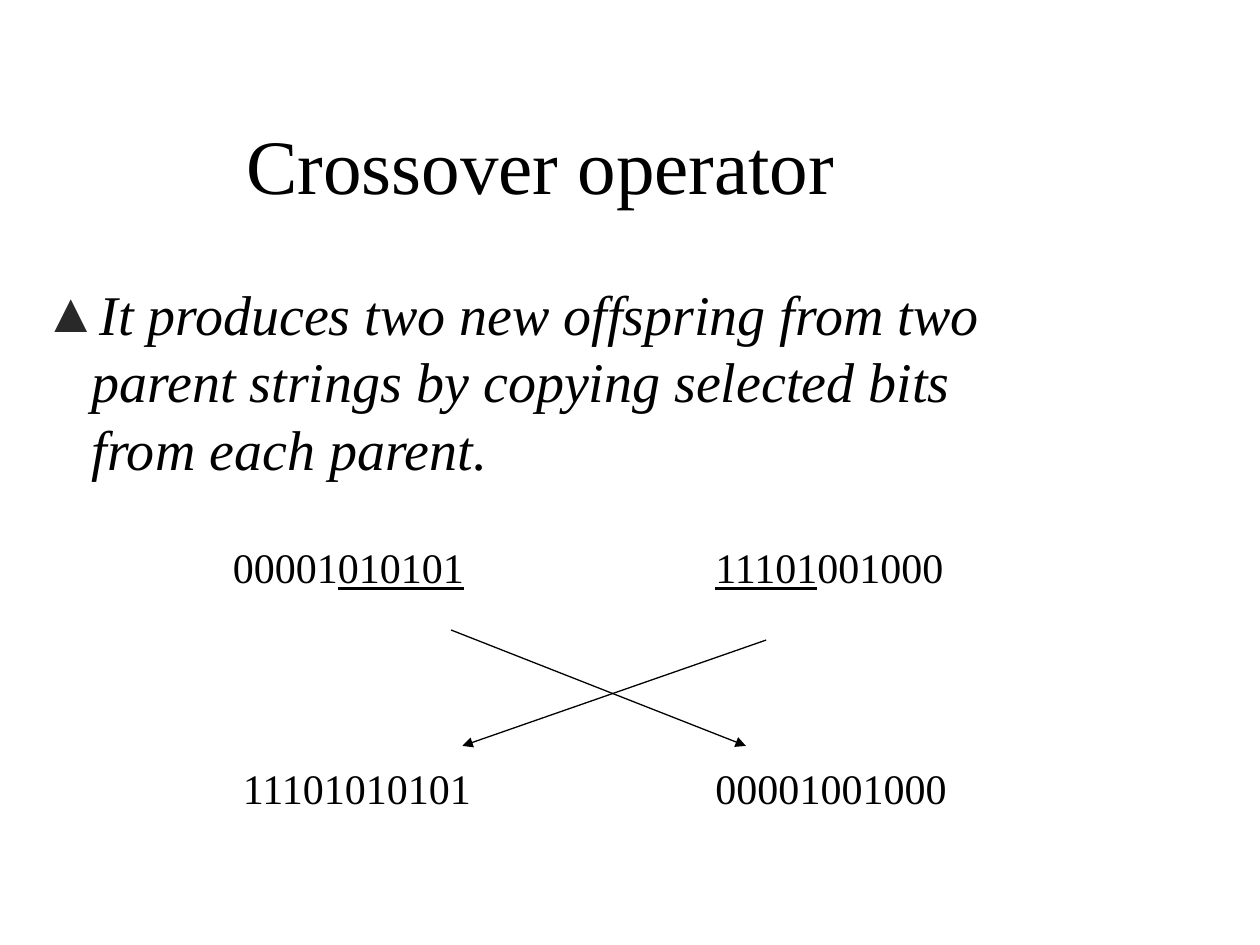
"""Build the crossover operator slide."""
from dataclasses import dataclass
from lxml import etree
from pptx import Presentation
from pptx.dml.color import RGBColor
from pptx.enum.shapes import MSO_CONNECTOR
from pptx.enum.text import MSO_ANCHOR, PP_ALIGN
from pptx.oxml.ns import qn
from pptx.util import Inches, Pt

LINE = MSO_CONNECTOR.STRAIGHT
MIDDLE = MSO_ANCHOR.MIDDLE
TOP = MSO_ANCHOR.TOP
CENTER = PP_ALIGN.CENTER
LEFT = PP_ALIGN.LEFT


@dataclass(frozen=True)
class Theme:
    """Colours, font and type sizes."""
    ink: RGBColor = RGBColor(0, 0, 0)
    mark: str = "292929"
    font: str = "Times New Roman"
    title: int = 44
    body: int = 32
    bits: int = 24
    rule: float = 0.75


class Deck:
    """Holds the theme and the current slide."""

    def __init__(self, theme):
        """Open a deck with one blank slide."""
        self.theme = theme
        self.prs = Presentation()
        self.prs.slide_width = Inches(10)
        self.prs.slide_height = Inches(7.5)
        self.slide = self.prs.slides.add_slide(self.prs.slide_layouts[6])

    def text(self, box, parts, size, anchor=TOP, align=LEFT, italic=False):
        """Add a text box of (words, underline) parts and return its paragraph."""
        frame = self.slide.shapes.add_textbox(*map(Inches, box)).text_frame
        frame.word_wrap = True
        frame.vertical_anchor = anchor
        para = frame.paragraphs[0]
        para.alignment = align
        for words, under in parts:
            run = para.add_run()
            run.text = words
            font = run.font
            font.name = self.theme.font
            font.size = Pt(size)
            font.color.rgb = self.theme.ink
            font.italic = italic
            font.underline = under
        return para

    def title(self, box, words):
        """Add the centred heading."""
        self.text(box, [(words, False)], self.theme.title, MIDDLE, CENTER)

    def bullet(self, box, words):
        """Add an italic paragraph with a triangle bullet."""
        para = self.text(box, [(words, False)], self.theme.body, italic=True)
        para.space_before = Pt(8)
        props = para._p.get_or_add_pPr()
        props.set("marL", str(Inches(0.38)))
        props.set("indent", str(-Inches(0.38)))
        tint = etree.SubElement(props, qn("a:buClr"))
        etree.SubElement(tint, qn("a:srgbClr"), val=self.theme.mark)
        etree.SubElement(props, qn("a:buFont"), typeface=self.theme.font)
        etree.SubElement(props, qn("a:buChar"), char="▲")

    def bits(self, left, top, parts):
        """Add one bit string."""
        para = self.text((left, top, 2.08, 0.5), parts, self.theme.bits)
        para.space_before = Pt(15)

    def arrow(self, start, end):
        """Add a thin arrow between two points."""
        ends = map(Inches, (*start, *end))
        link = self.slide.shapes.add_connector(LINE, *ends)
        link.line.color.rgb = self.theme.ink
        link.line.width = Pt(self.theme.rule)
        etree.SubElement(link.line._get_or_add_ln(), qn("a:tailEnd"), type="triangle")
        etree.SubElement(link._element.spPr, qn("a:effectLst"))

    def save(self):
        """Write the deck."""
        self.prs.save("out.pptx")


def main():
    """Lay out the slide."""
    deck = Deck(Theme())
    deck.title((0.25, 0.67, 8.08, 1.25), "Crossover operator")
    deck.bullet(
        (0.25, 2.17, 8.08, 1.83),
        "It produces two new offspring from two parent strings "
        "by copying selected bits from each parent.",
    )
    rows = [
        (5.58, 4.25, [("11101", True), ("001000", False)]),
        (1.75, 4.25, [("00001", False), ("010101", True)]),
        (5.58, 6, [("00001001000", False)]),
        (1.83, 6, [("11101010101", False)]),
    ]
    for row in rows:
        deck.bits(*row)
    deck.arrow((6.08, 5.08), (3.67, 5.92))
    deck.arrow((3.58, 5), (5.92, 5.92))
    deck.save()


if __name__ == "__main__":
    main()
